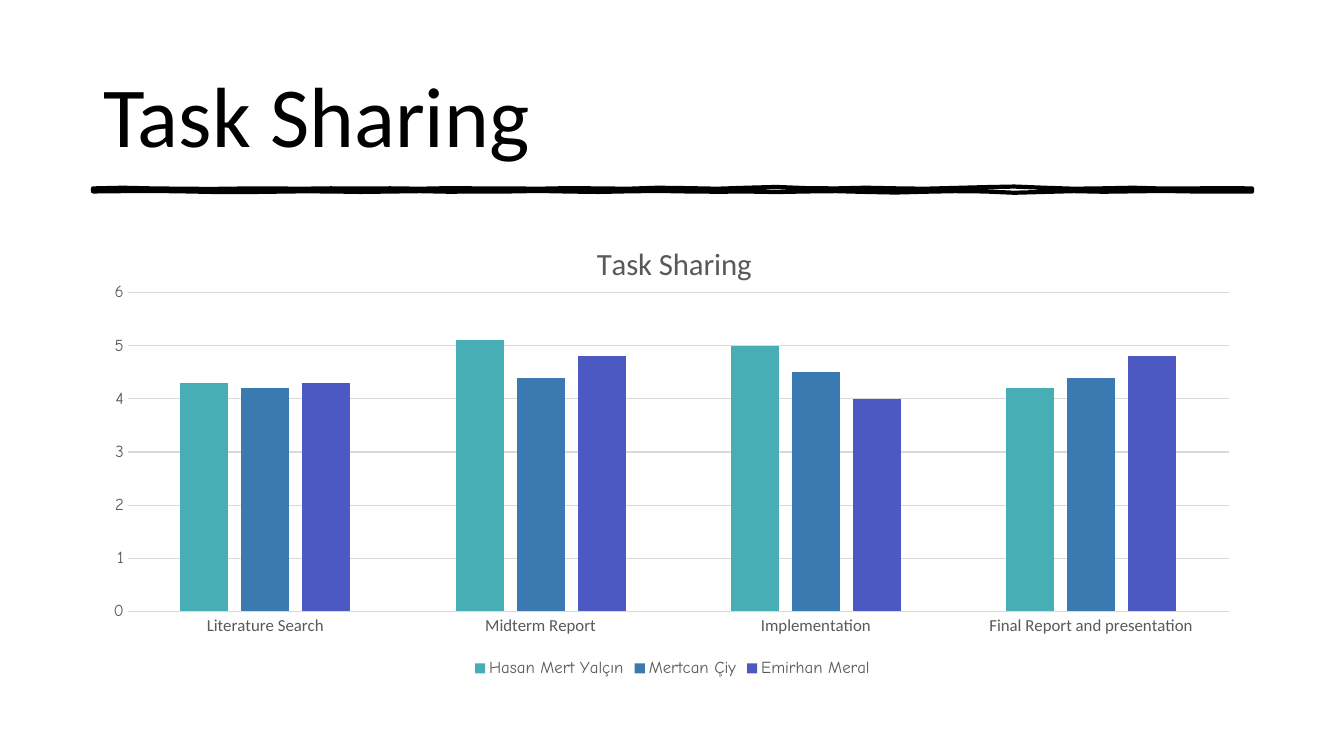
from lxml import etree
from pptx import Presentation, util as u
from pptx.chart.data import CategoryChartData
from pptx.dml.color import RGBColor
from pptx.enum import chart as c, text
from pptx.oxml import parse_xml
from pptx.oxml.ns import nsdecls, qn

PIXEL = 914400 / 100.8
SLIDE_SIZE = (1344, 756)
TITLE = "Task Sharing"
COLORS = {"ink": "000000", "label": "595959", "grid": "D9D9D9"}
CATEGORIES = ["Literature Search", "Midterm Report", "Implementation",
              "Final Report and presentation"]
SERIES = [
    ("Hasan Mert Yalçın", (4.3, 5.1, 5, 4.2), "47AEB5"),
    ("Mertcan Çiy", (4.2, 4.4, 4.5, 4.4), "3B79B1"),
    ("Emirhan Meral", (4.3, 4.8, 4, 4.8), "4D59C3"),
]
TITLE_BOX = (93, 40, 1159, 146)
CHART_BOX = (93, 213, 1159, 469)
# Fractions of the chart frame
PLOT_AREA = {"x": 0.03, "y": 0.17, "w": 0.95, "h": 0.68}
TITLE_SPOT = {"x": 0.43, "y": 0.05}

# Hand-drawn rule: heights of its edges in tenths of a pixel, at equal steps
RULE_LEFT, RULE_WIDTH = 93, 1159
RULE_TOP = [1885, 1878, 1885, 1888, 1890, 1886, 1885, 1888, 1884, 1886,
            1884, 1888, 1882, 1885, 1885, 1888, 1882, 1885, 1888, 1878,
            1882, 1888, 1878, 1870, 1882, 1885, 1878, 1884, 1888, 1880,
            1872, 1866, 1878, 1888, 1884, 1878, 1886, 1885, 1882, 1885]
RULE_BOTTOM = [1915, 1912, 1910, 1914, 1920, 1922, 1918, 1914, 1915, 1920,
               1916, 1912, 1918, 1915, 1915, 1910, 1916, 1920, 1914, 1910,
               1915, 1918, 1916, 1921, 1915, 1912, 1920, 1926, 1918, 1912,
               1915, 1928, 1920, 1912, 1918, 1914, 1910, 1915, 1915, 1917]


def place(box):
    """Turn a pixel box into EMU lengths."""
    return [u.Emu(round(value * PIXEL)) for value in box]


def set_all(target, values):
    """Set every attribute named in a dict."""
    for name, value in values.items():
        setattr(target, name, value)


def style_font(font, size, color, name="Calibri"):
    """Give a font its size, colour and family."""
    set_all(font, {"size": u.Pt(size), "name": name, "bold": False})
    font.color.rgb = RGBColor.from_string(COLORS[color])


def style_line(line, color, width):
    """Give a line its colour and width in points."""
    line.color.rgb = RGBColor.from_string(COLORS[color])
    line.width = u.Pt(width)


def fix_layout(parent, after, fractions):
    """Pin a chart part to fractions of the chart frame."""
    for old in parent.findall(qn("c:layout")):
        parent.remove(old)
    layout = parse_xml(f"<c:layout {nsdecls('c')}><c:manualLayout/></c:layout>")
    settings = {"layoutTarget": "inner"} if "w" in fractions else {}
    settings.update({"xMode": "edge", "yMode": "edge"}, **fractions)
    for name, value in settings.items():
        etree.SubElement(layout[0], qn(f"c:{name}")).set("val", str(value))
    if after is None:
        parent.insert(0, layout)
    else:
        after.addnext(layout)


def add_rule(slide):
    """Draw the wavy rule as one stroked outline."""
    step = RULE_WIDTH * 10 / (len(RULE_TOP) - 1)
    xs = [round(RULE_LEFT * 10 + step * index) for index in range(len(RULE_TOP))]
    points = list(zip(xs, RULE_TOP)) + list(zip(xs, RULE_BOTTOM))[::-1]
    builder = slide.shapes.build_freeform(*points[0], scale=PIXEL / 10)
    builder.add_line_segments(points[1:], close=True)
    rule = builder.convert_to_shape()
    rule.shadow.inherit = False
    rule.fill.background()
    style_line(rule.line, "ink", 3)


def add_title(slide):
    """Move and format the title placeholder."""
    title = slide.shapes.title
    set_all(title, dict(zip(("left", "top", "width", "height"), place(TITLE_BOX))))
    title.text = TITLE
    set_all(title.text_frame, {"vertical_anchor": text.MSO_ANCHOR.MIDDLE,
                               "auto_size": text.MSO_AUTO_SIZE.NONE,
                               "word_wrap": True})
    paragraph = title.text_frame.paragraphs[0]
    paragraph.alignment = text.PP_ALIGN.LEFT
    style_font(paragraph.runs[0].font, 61, "ink")


def add_task_chart(slide):
    """Add the clustered columns with title, axes and legend."""
    data = CategoryChartData()
    data.categories = CATEGORIES
    for name, values, _ in SERIES:
        data.add_series(name, values)
    chart = slide.shapes.add_chart(
        c.XL_CHART_TYPE.COLUMN_CLUSTERED, *place(CHART_BOX), data).chart
    style_font(chart.font, 10, "ink", "Comic Neue")

    chart.has_title = True
    heading = chart.chart_title
    heading.include_in_layout = False
    heading.text_frame.text = TITLE
    style_font(heading.text_frame.paragraphs[0].runs[0].font, 22, "label")
    fix_layout(heading._element, heading._element.find(qn("c:tx")), TITLE_SPOT)
    fix_layout(chart._chartSpace.chart.plotArea, None, PLOT_AREA)

    plot = chart.plots[0]
    set_all(plot, {"gap_width": 219, "overlap": -27, "vary_by_categories": False})
    for series, (_, _, color) in zip(plot.series, SERIES):
        series.format.fill.solid()
        series.format.fill.fore_color.rgb = RGBColor.from_string(color)

    axes = ((chart.category_axis, "Calibri"), (chart.value_axis, "Comic Neue"))
    for axis, font_name in axes:
        set_all(axis, {"major_tick_mark": c.XL_TICK_MARK.NONE,
                       "minor_tick_mark": c.XL_TICK_MARK.NONE})
        style_font(axis.tick_labels.font, 12, "label", font_name)
    style_line(chart.category_axis.format.line, "grid", 0.75)
    set_all(chart.value_axis, {"minimum_scale": 0, "maximum_scale": 6,
                               "major_unit": 1, "has_major_gridlines": True})
    chart.value_axis.format.line.fill.background()
    style_line(chart.value_axis.major_gridlines.format.line, "grid", 0.75)

    chart.has_legend = True
    set_all(chart.legend, {"position": c.XL_LEGEND_POSITION.BOTTOM,
                           "include_in_layout": False})
    style_font(chart.legend.font, 12, "label", "Comic Neue")


presentation = Presentation()
set_all(presentation, dict(zip(("slide_width", "slide_height"), place(SLIDE_SIZE))))
slide = presentation.slides.add_slide(presentation.slide_layouts[5])
add_rule(slide)
add_title(slide)
add_task_chart(slide)
presentation.save("out.pptx")
